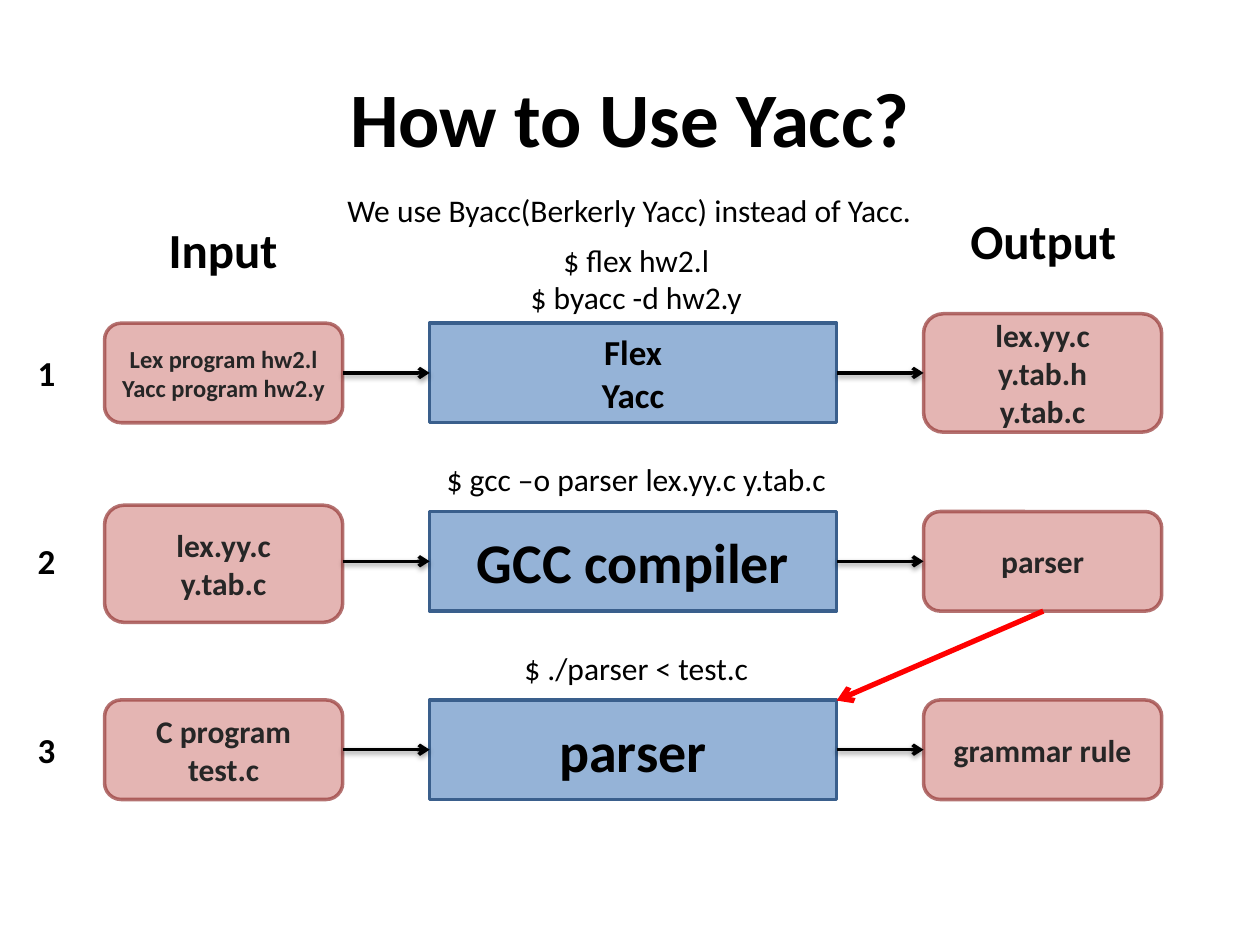
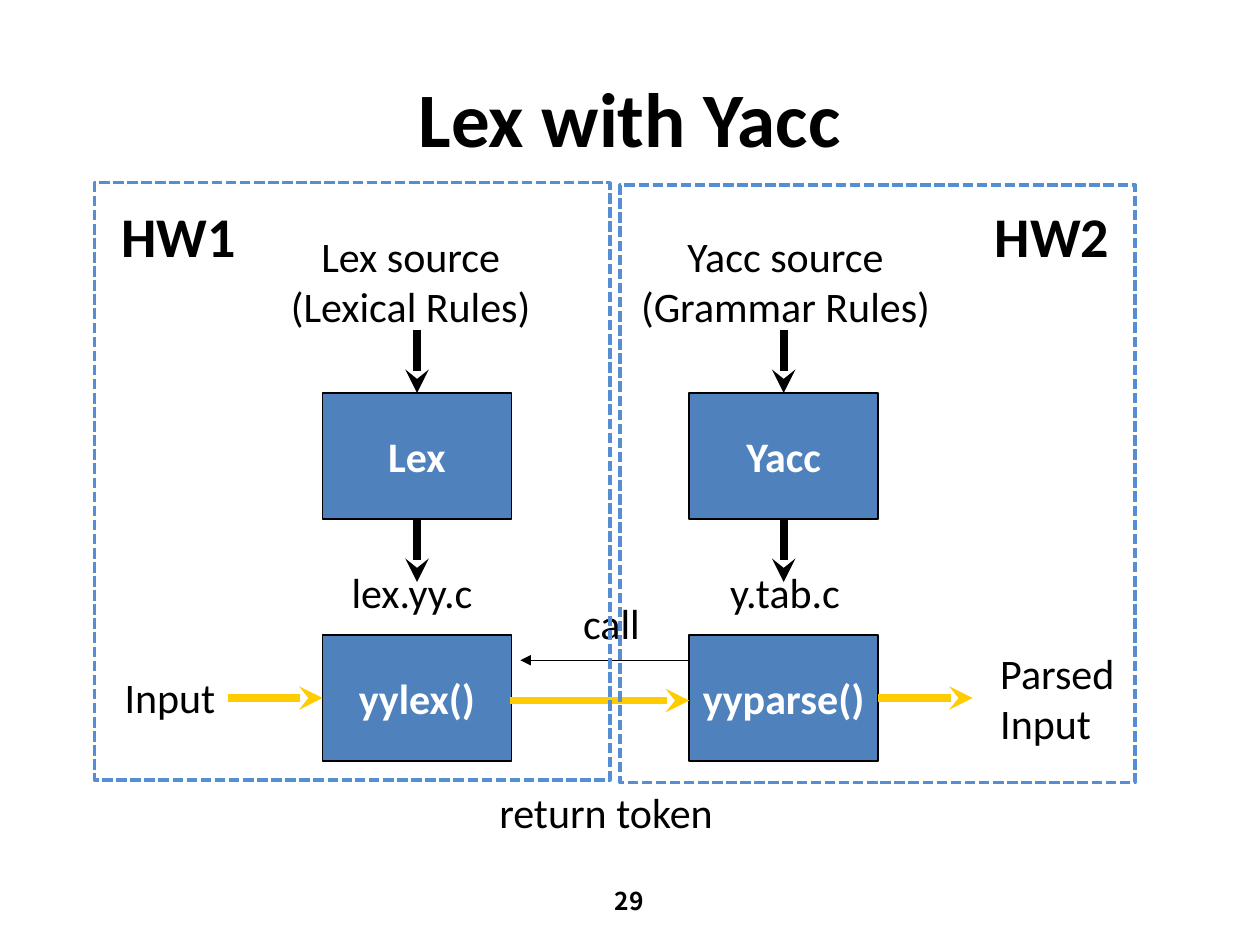
from lxml.etree import SubElement as Sub
from pptx import Presentation
from pptx.dml.color import RGBColor as RGB
from pptx.enum.dml import MSO_LINE as DASH
from pptx.enum.shapes import MSO_CONNECTOR as LINK, MSO_SHAPE as KIND
from pptx.enum.text import MSO_ANCHOR as ANCHOR, MSO_AUTO_SIZE as AUTO, PP_ALIGN as ALIGN
from pptx.oxml.ns import qn
from pptx.util import Inches, Pt

HUES = {
    "black": "000000", "white": "FFFFFF", "dark": "262626", "red": "FF0000",
    "step": "95B3D7", "edge": "3A5F8C", "file": "D99694", "rim": "953735",
    "tool": "4F81BD", "gold": "FFCC00", "frame": "558ED5",
}


class Deck:
    font = "Calibri"

    def __init__(self):
        self.prs = Presentation()
        self.prs.slide_width, self.prs.slide_height = Inches(10), Inches(7.5)
        self.slide = None

    def page(self, title):
        self.slide = self.prs.slides.add_slide(self.prs.slide_layouts[6])
        box = self.text(title, 0.5, 0.3, 9, 1.25, 44, bold=True, grow=False)
        box.text_frame.vertical_anchor = ANCHOR.MIDDLE

    def label(self, shape, text, size, hue, bold=True, align=ALIGN.CENTER,
              wrap=True, font=None):
        frame = shape.text_frame
        frame.text = text
        frame.word_wrap = wrap
        for para in frame.paragraphs:
            para.alignment = align
            for run in para.runs:
                run.font.name = font or self.font
                run.font.size = Pt(size)
                run.font.bold = bold
                run.font.color.rgb = RGB.from_string(HUES[hue])

    def text(self, text, x, y, w, h, size, bold=False, align=ALIGN.CENTER,
             wrap=True, grow=True, font=None):
        box = self.slide.shapes.add_textbox(Inches(x), Inches(y), Inches(w), Inches(h))
        self.label(box, text, size, "black", bold, align, wrap, font)
        if grow:
            box.text_frame.auto_size = AUTO.SHAPE_TO_FIT_TEXT
        return box

    def box(self, x, y, w, h, fill, line, weight, kind=KIND.RECTANGLE):
        shape = self.slide.shapes.add_shape(kind, Inches(x), Inches(y), Inches(w), Inches(h))
        shape.shadow.inherit = False
        shape.line.color.rgb = RGB.from_string(HUES[line])
        shape.line.width = Pt(weight)
        if fill:
            shape.fill.solid()
            shape.fill.fore_color.rgb = RGB.from_string(HUES[fill])
        else:
            shape.fill.background()
        return shape

    def step(self, text, mid, size):
        shape = self.box(3.41, mid - 0.395, 3.23, 0.79, "step", "edge", 2)
        self.label(shape, text, size, "black")

    def file(self, text, x, mid, h, size=18):
        shape = self.box(x, mid - h / 2, 1.89, h, "file", "rim", 2, KIND.ROUNDED_RECTANGLE)
        # Fill and line are 70 percent opaque
        for color in list(shape._element.spPr.iter(qn("a:srgbClr"))):
            Sub(color, qn("a:alpha"), val="70000")
        self.label(shape, text, size, "dark")

    def tool(self, text, x, y):
        shape = self.box(x, y, 1.5, 1, "tool", "black", 1)
        self.label(shape, text, 24, "white", wrap=False)

    def frame(self, x, y):
        self.box(x, y, 4.09, 4.74, None, "frame", 2).line.dash_style = DASH.SQUARE_DOT

    def arrow(self, x1, y1, x2, y2, hue, weight, head, shade=False):
        link = self.slide.shapes.add_connector(
            LINK.STRAIGHT, Inches(x1), Inches(y1), Inches(x2), Inches(y2))
        link.line.color.rgb = RGB.from_string(HUES[hue])
        link.line.width = Pt(weight)
        Sub(link.get_or_add_ln(), qn("a:tailEnd"), type=head)
        effect = Sub(link._element.spPr, qn("a:effectLst"))
        if shade:
            drop = Sub(effect, qn("a:outerShdw"), blurRad=str(Pt(3.1)),
                       dist=str(Pt(1.6)), dir="5400000", rotWithShape="0")
            color = Sub(drop, qn("a:srgbClr"), val=HUES["black"])
            Sub(color, qn("a:alpha"), val="38000")


deck = Deck()

# Slide 1: three build steps, each from input to output
deck.page("How to Use Yacc?")
deck.text("We use Byacc(Berkerly Yacc) instead of Yacc.", 2.57, 1.47, 4.85, 0.4, 18)
deck.text("Input", 1.06, 1.69, 1.42, 0.57, 28, bold=True)
deck.text("Output", 7.57, 1.62, 1.42, 0.57, 28, bold=True)

# Command, its top and height; step, size; input, height, size; output, height
ROWS = [
    ("$ flex hw2.l\n$ byacc -d hw2.y", 1.86, 0.71, "Flex\nYacc", 20,
     "Lex program hw2.l\nYacc program hw2.y", 0.79, 14, "lex.yy.c\ny.tab.h\ny.tab.c", 0.94),
    ("$ gcc –o parser lex.yy.c y.tab.c", 3.6, 0.4, "GCC compiler", 32,
     "lex.yy.c\ny.tab.c", 0.93, 18, "parser", 0.79),
    ("$ ./parser < test.c", 5.1, 0.4, "parser", 32,
     "C program\ntest.c", 0.79, 18, "grammar rule", 0.79),
]
for i, (cmd, top, tall, step, size, src, src_h, src_size, out, out_h) in enumerate(ROWS):
    mid = 2.96 + 1.495 * i
    deck.text(str(i + 1), 0.2, mid - 0.22, 0.31, 0.44, 20, bold=True, align=ALIGN.LEFT)
    deck.text(cmd, 3.08, top, 3.94, tall, 18)
    deck.step(step, mid, size)
    deck.file(src, 0.83, mid + (0.02 if i == 1 else 0), src_h, src_size)
    deck.file(out, 7.33, mid, out_h)
    for x in (2.72, 6.64):
        deck.arrow(x, mid, x + 0.69, mid, "black", 2, "arrow", shade=True)
deck.arrow(8.28, 4.85, 6.64, 5.56, "red", 3, "arrow")

# Slide 2: the Lex and Yacc columns side by side
deck.page("Lex with Yacc")
deck.text("29", 3.83, 6.95, 2.33, 0.4, 14, bold=True, grow=False,
          font="Noto Sans CJK SC").text_frame.vertical_anchor = ANCHOR.MIDDLE
for x, tool, call in ((2.56, "Lex", "yylex()"), (5.47, "Yacc", "yyparse()")):
    deck.tool(tool, x, 3.12)
    deck.tool(call, x, 5.04)
    for y in (2.62, 4.12):
        deck.arrow(x + 0.75, y, x + 0.75, y + 0.5, "black", 4.5, "stealth")

# Sources and generated files
deck.text("Lex source\n(Lexical Rules)", 1.93, 1.78, 2.66, 0.91, 24)
deck.text("Yacc source\n(Grammar Rules)", 4.97, 1.78, 2.53, 0.91, 24, wrap=False)
deck.text("lex.yy.c", 2.56, 4.45, 1.42, 0.5, 24)
deck.text("y.tab.c", 5.47, 4.45, 1.52, 0.5, 24)

# Data flow
for x1, x2, y in ((1.81, 2.56, 5.54), (4.05, 5.47, 5.56), (6.97, 7.72, 5.54)):
    deck.arrow(x1, y, x2, y, "gold", 4.5, "stealth")
deck.arrow(5.47, 5.24, 4.13, 5.24, "black", 0.75, "triangle")
for text, x, y, w, h in (("Input", 0.89, 5.28, 0.94, 0.5),
                         ("Parsed\nInput", 7.84, 5.09, 1.13, 0.91),
                         ("call", 4.53, 4.69, 0.66, 0.5)):
    deck.text(text, x, y, w, h, 24, align=ALIGN.LEFT, wrap=False)
deck.text("return token", 3.82, 6.19, 1.98, 0.5, 24, wrap=False)

# Homework frames
for name, x, y, left in (("HW1", 0.75, 1.45, 0.83), ("HW2", 4.92, 1.47, 7.76)):
    deck.frame(x, y)
    deck.text(name, left, 1.55, 1.18, 0.64, 32, bold=True)

deck.prs.save("out.pptx")
